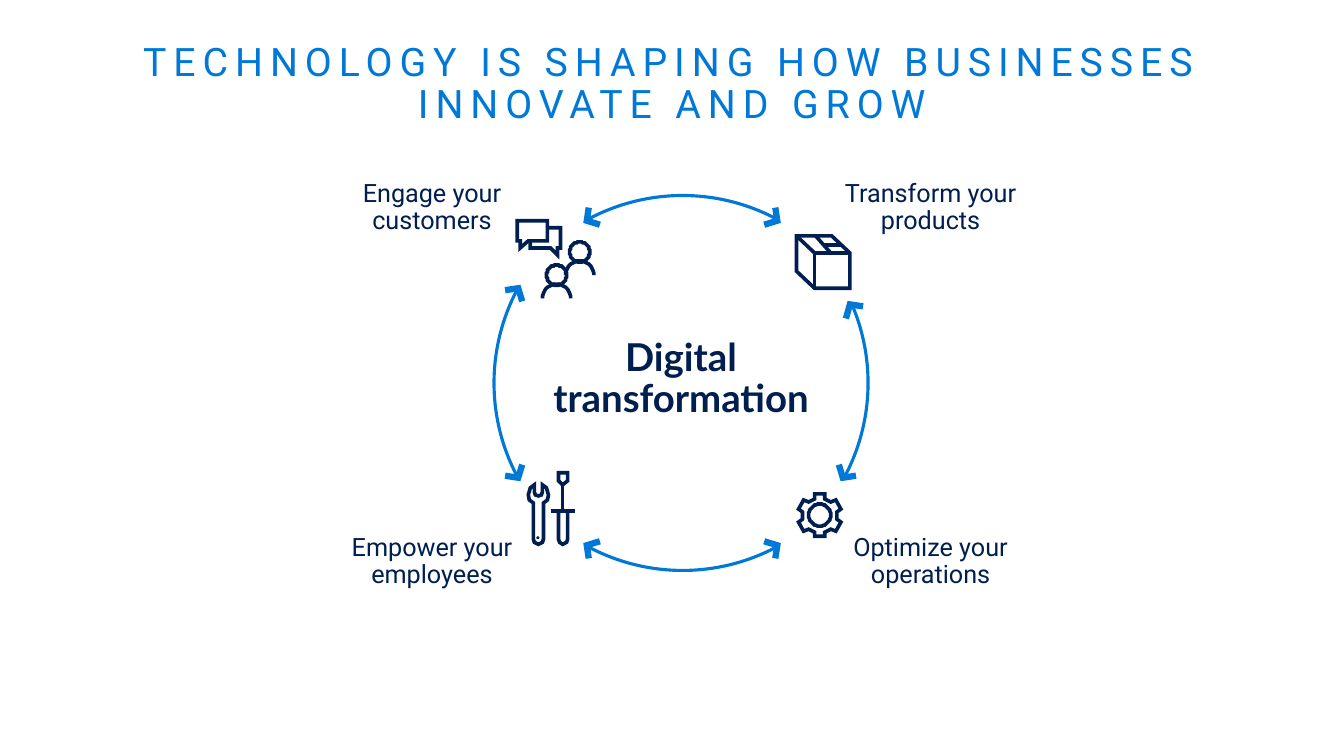
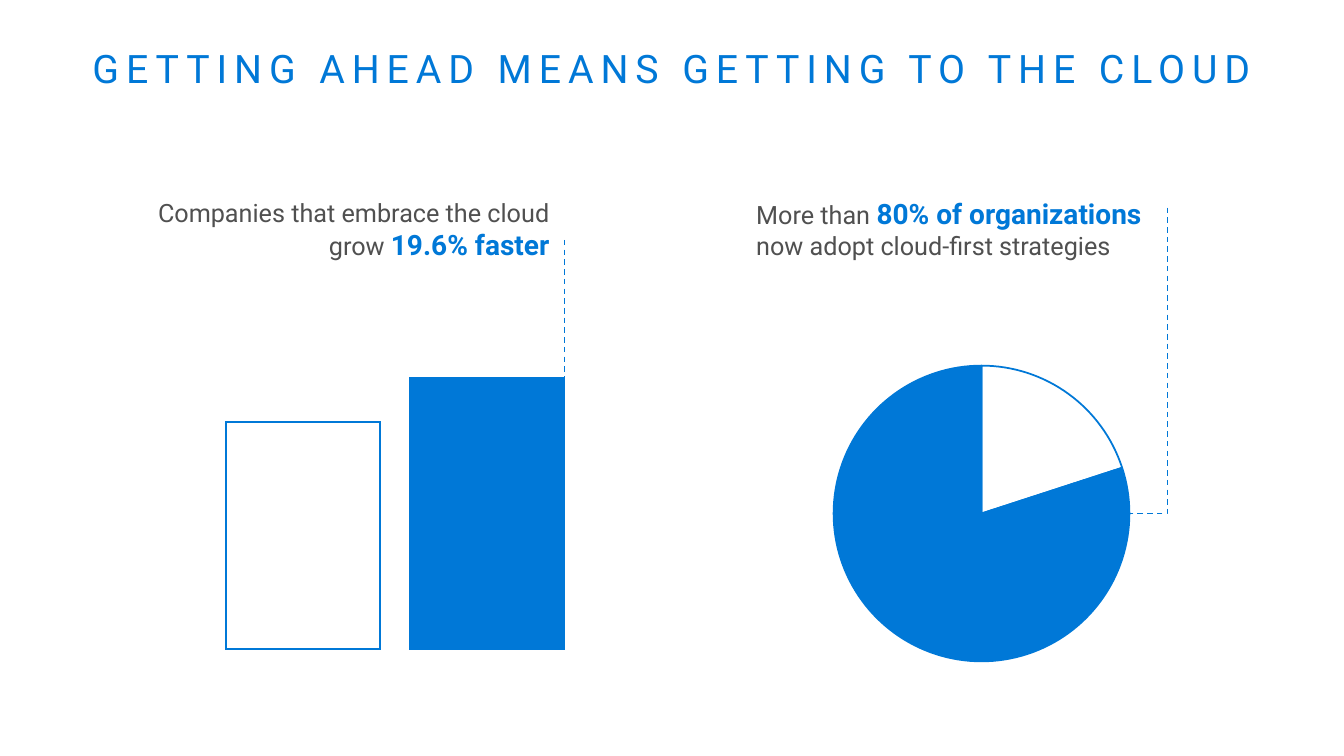
from math import cos, radians, sin

from lxml.etree import SubElement
from pptx import Presentation
from pptx.chart.data import CategoryChartData
from pptx.dml.color import RGBColor
from pptx.enum.chart import XL_CHART_TYPE as CHART
from pptx.enum.dml import MSO_LINE
from pptx.enum.shapes import MSO_CONNECTOR as CONN, MSO_SHAPE as SHAPE
from pptx.enum.text import MSO_ANCHOR as ANCHOR, PP_ALIGN as ALIGN
from pptx.oxml.ns import qn
from pptx.util import Emu, Pt

PX = 9144
BLUE, NAVY, GREY, WHITE = "0078D7", "001F50", "505050", "FFFFFF"
BODY, HEADING = "Roboto", "Lato"
ICON_WIDTH = 2.6


def px(n):
    return Emu(n * PX)


def rgb(color):
    return RGBColor.from_string(color)


def box(x, y, w, h):
    return px(x), px(y), px(w), px(h)


def text(s, area, runs, align=ALIGN.CENTER, anchor=ANCHOR.TOP,
         insets=(0, 0, 0, 0), font=BODY, spacing=None, tracking=None):
    tf = s.shapes.add_textbox(*box(*area)).text_frame
    tf.word_wrap = True
    tf.vertical_anchor = anchor
    tf.margin_left, tf.margin_top, tf.margin_right, tf.margin_bottom = map(px, insets)
    p = tf.paragraphs[0]
    p.alignment = align
    p.line_spacing = spacing
    for content, size, color, bold in runs:
        r = p.add_run()
        r.text = content
        r.font.name, r.font.size, r.font.bold = font, Pt(size), bold
        r.font.color.rgb = rgb(color)
        if tracking:
            r.font._element.set("spc", str(tracking * 100))


def title(s, y, content):
    text(s, (29, y, 1275, 98), [(content, 28, BLUE, False)],
         insets=(16, 10, 16, 10), spacing=0.9, tracking=5)


def label(s, area, content):
    text(s, area, [(content, 18, NAVY, False)], anchor=ANCHOR.MIDDLE,
         insets=(20, 16, 20, 16), spacing=0.9)


def paint(sp, fill=None, line=None, width=1.0):
    sp.shadow.inherit = False
    if fill:
        sp.fill.solid()
        sp.fill.fore_color.rgb = rgb(fill)
    else:
        sp.fill.background()
    if line:
        sp.line.color.rgb = rgb(line)
        sp.line.width = Pt(width)
        SubElement(sp.line._get_or_add_ln(), qn("a:miter"), lim="800000")
    else:
        sp.line.fill.background()


def shape(s, kind, area, fill=None, line=None, width=1.0):
    sp = s.shapes.add_shape(kind, *box(*area))
    paint(sp, fill, line, width)
    return sp


def arc(s, area, start, end):
    sp = shape(s, SHAPE.ARC, area, line=BLUE, width=2.25)
    sp.adjustments[0], sp.adjustments[1] = start * 0.6, end * 0.6


def outline(s, *contours, color=NAVY, width=ICON_WIDTH):
    fb = s.shapes.build_freeform(*contours[0][0], scale=PX)
    for i, points in enumerate(contours):
        if i:
            fb.move_to(*points[0])
        closed = points[0] == points[-1]
        fb.add_line_segments(points[1:-1] if closed else points[1:], close=closed)
    paint(fb.convert_to_shape(), line=color, width=width)


def loop(points):
    return points + points[:1]


def curve(cx, cy, radius, start, end):
    return [(cx + radius * cos(radians(a)), cy + radius * sin(radians(a)))
            for a in range(start, end + 1, 10)]


def ring(cx, cy, radius):
    return loop(curve(cx, cy, radius, 0, 350))


def mirror(points, x_sum=None, y_sum=None):
    return [(x if x_sum is None else x_sum - x, y if y_sum is None else y_sum - y)
            for x, y in points]


def cycle_arrows(s):
    for x, y, start, end in ((479, 194, 242, 298.5), (479, 170, 61.5, 118),
                             (465, 182, 337, 28.5), (490, 182, 151.5, 208)):
        arc(s, (x, y, 396, 396), start, end)
    upper = [(758, 223), (771, 219), (769, 206)]
    lower_side = [(832, 461), (836, 474), (849, 472)]
    upper_side = [(839, 316), (843, 302), (856, 304)]
    heads = [mirror(upper, x, y) for x in (None, 1353) for y in (None, 760)]
    heads += [lower_side, upper_side]
    heads += [mirror(lower_side, 1350, y) for y in (None, 760)]
    for head in heads:
        outline(s, head, color=BLUE, width=4.5)


def customers_icon(s):
    people = []
    for cx, cy in ((552, 273), (575, 250)):
        people += [ring(cx, cy, 10), curve(cx, cy + 23, 14, 180, 360)]
    outline(s, *people)
    front = [(513, 219), (543, 219), (543, 239), (524, 239),
             (516, 246), (516, 239), (513, 239)]
    back = [(543, 226), (556, 226), (556, 246), (553, 246),
            (553, 253), (546, 246), (526, 246), (526, 239)]
    outline(s, loop(front), back)


def products_icon(s):
    faces = [(790, 234), (825, 234), (843, 251), (843, 286), (808, 286), (790, 269)]
    outline(s, loop(faces), [(808, 286), (808, 251), (843, 251)],
            [(790, 234), (808, 251)], [(809, 234), (824, 251)], [(817, 243), (834, 243)])


def operations_icon(s):
    half = [(808, 532), (808, 528), (802, 525), (797, 527), (792, 518), (796, 515),
            (796, 508), (792, 505), (797, 496), (802, 498), (808, 495), (808, 490)]
    outline(s, loop(half + mirror(half, x_sum=1626)[::-1]), ring(813, 511, 11))


def employees_icon(s):
    blade = [(554, 469), (563, 469), (563, 477), (558, 481), (554, 477)]
    handle = [(554, 507), (554, 535), (555, 538), (558, 540),
              (562, 538), (563, 535), (563, 507)]
    outline(s, loop(blade), [(558, 481), (558, 507)], [(547, 507), (570, 507)], handle)
    half = [(534, 492), (531, 491), (530, 488), (530, 481), (526, 484), (524, 491),
            (525, 496), (529, 499), (529, 535), (530, 538), (534, 540)]
    outline(s, loop(half + mirror(half, x_sum=1068)[-2:0:-1]))
    shape(s, SHAPE.OVAL, (532, 532, 3, 3), fill=NAVY)


def dashed(s, kind, x1, y1, x2, y2):
    c = s.shapes.add_connector(kind, px(x1), px(y1), px(x2), px(y2))
    c.line.color.rgb = rgb(BLUE)
    c.line.width = Pt(1)
    c.line.dash_style = MSO_LINE.DASH
    SubElement(c._element.spPr, qn("a:effectLst"))
    return c


def pie_leader(s):
    spPr = dashed(s, CONN.ELBOW, 972, 336, 1288, 392)._element.spPr
    spPr.find(qn("a:xfrm")).set("rot", str(90 * 60000))
    guides = spPr.find(qn("a:prstGeom")).find(qn("a:avLst"))
    SubElement(guides, qn("a:gd"), name="adj1", fmla="val 96100")


def pie(s, area):
    data = CategoryChartData()
    data.categories = ["1", "2"]
    data.add_series("Series 1", (80, 20))
    chart = s.shapes.add_chart(CHART.PIE, *box(*area), data).chart
    chart.has_title = chart.has_legend = False
    chart.font.name, chart.font.size = BODY, Pt(10)
    chart.font.color.rgb = rgb(GREY)
    plot = chart.plots[0]
    plot.vary_by_categories = False
    for i, fill in enumerate((BLUE, None)):
        fmt = plot.series[0].points[i].format
        if fill:
            fmt.fill.solid()
            fmt.fill.fore_color.rgb = rgb(fill)
        else:
            fmt.fill.background()
        fmt.line.color.rgb = rgb(BLUE)
        fmt.line.width = Pt(1.25)
    pie_xml = plot._element
    angle = pie_xml.find(qn("c:firstSliceAng"))
    if angle is None:
        angle = SubElement(pie_xml, qn("c:firstSliceAng"))
    angle.set("val", "72")
    area_xml = pie_xml.getparent()
    layout = area_xml.find(qn("c:layout"))
    if layout is None:
        layout = SubElement(area_xml, qn("c:layout"))
        area_xml.insert(0, layout)
    manual = SubElement(layout, qn("c:manualLayout"))
    for tag, value in (("layoutTarget", "inner"), ("xMode", "edge"), ("yMode", "edge"),
                       ("x", "0.04"), ("y", "0.04"), ("w", "0.92"), ("h", "0.92")):
        SubElement(manual, qn("c:" + tag), val=value)


def transformation_slide(s):
    title(s, 32, "TECHNOLOGY IS SHAPING HOW BUSINESSES INNOVATE AND GROW")
    label(s, (311, 163, 235, 86), "Engage your customers")
    label(s, (303, 514, 251, 86), "Empower your employees")
    label(s, (783, 514, 280, 86), "Optimize your operations")
    label(s, (796, 163, 254, 86), "Transform your products")
    text(s, (537, 333, 277, 87), [("Digital transformation", 27.4, NAVY, True)],
         anchor=ANCHOR.MIDDLE, font=HEADING, spacing=0.9)
    cycle_arrows(s)
    customers_icon(s)
    products_icon(s)
    operations_icon(s)
    employees_icon(s)


def cloud_slide(s):
    title(s, 39, "GETTING AHEAD MEANS GETTING TO THE CLOUD")
    text(s, (735, 190, 422, 74),
         [("More than ", 18, GREY, False), ("80% of organizations ", 20, BLUE, True),
          ("now adopt cloud-first strategies", 18, GREY, False)],
         align=ALIGN.LEFT, insets=(15, 5, 10, 5))
    pie(s, (814, 350, 319, 319))
    text(s, (119, 191, 441, 74),
         [("Companies that embrace the cloud grow ", 18, GREY, False),
          ("19.6% faster", 20, BLUE, True)],
         align=ALIGN.RIGHT, insets=(10, 5, 15, 5))
    for x, height, fill in ((224, 225, WHITE), (407, 269, BLUE)):
        shape(s, SHAPE.RECTANGLE, (x, 644 - height, 153, height), fill, BLUE, 1.25)
    dashed(s, CONN.STRAIGHT, 560, 238, 560, 386)
    pie_leader(s)


def main():
    prs = Presentation()
    prs.slide_width, prs.slide_height = px(1333), px(750)
    for build in (transformation_slide, cloud_slide):
        build(prs.slides.add_slide(prs.slide_layouts[6]))
    prs.save("out.pptx")


if __name__ == "__main__":
    main()
